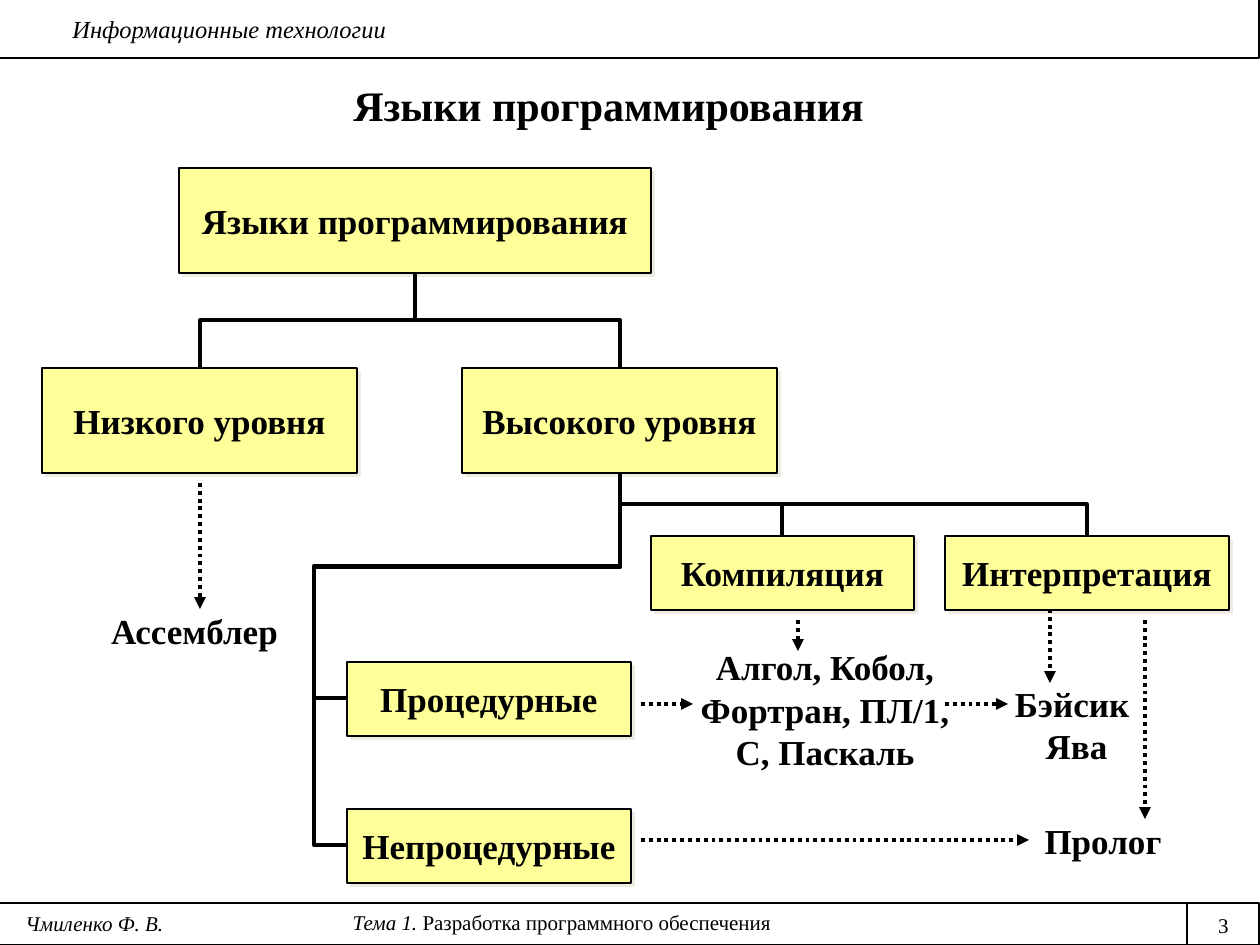
from lxml import etree
from pptx import Presentation
from pptx.dml.color import RGBColor
from pptx.enum.dml import MSO_LINE
from pptx.enum.shapes import MSO_CONNECTOR, MSO_SHAPE
from pptx.enum.text import MSO_ANCHOR, PP_ALIGN
from pptx.oxml.ns import qn
from pptx.util import Pt

BLACK = RGBColor(0x00, 0x00, 0x00)
WHITE = RGBColor(0xFF, 0xFF, 0xFF)
YELLOW = RGBColor(0xFF, 0xFF, 0x99)
SHADOW = RGBColor(0xEE, 0xEC, 0xE1)
RECT = MSO_SHAPE.RECTANGLE
STRAIGHT, ELBOW = MSO_CONNECTOR.STRAIGHT, MSO_CONNECTOR.ELBOW
DOTTED = MSO_LINE.ROUND_DOT
LEFT, CENTER = PP_ALIGN.LEFT, PP_ALIGN.CENTER
TOP, MIDDLE = MSO_ANCHOR.TOP, MSO_ANCHOR.MIDDLE
FONT = "Times New Roman"
PX = 914400 / 126

HEADER = {"size": Pt(14), "italic": True}
FOOTER = {"size": Pt(12)}
FOOTER_ITALIC = {"size": Pt(12), "italic": True}
TITLE = {"size": Pt(24), "bold": True}
LABEL = {"size": Pt(20), "bold": True}

BANDS = [(-1, 903, 1260, 42), (-1, -1, 1260, 59)]
PAGE_DIVIDER = (1187, 903, 1187, 945)

FRAME_TEXTS = [
    ((60, 8, 1187, 42), LEFT, TOP, [[("Информационные технологии", HEADER)]]),
    ((0, 903, 1124, 38), CENTER, TOP,
     [[("Тема 1. ", FOOTER_ITALIC), ("Разработка программного обеспечения", FOOTER)]]),
    ((1187, 906, 73, 38), CENTER, TOP, [[("3", FOOTER)]]),
    ((0, 904, 189, 38), CENTER, TOP, [[("Чмиленко Ф. В.", FOOTER_ITALIC)]]),
    ((31, 73, 1155, 63), CENTER, MIDDLE, [[("Языки программирования", TITLE)]]),
]

BOXES = [
    ("Языки программирования", (179, 168, 472, 105)),
    ("Низкого уровня", (42, 368, 315, 105)),
    ("Высокого уровня", (462, 368, 315, 105)),
    ("Компиляция", (651, 536, 263, 74)),
    ("Интерпретация", (945, 536, 284, 74)),
    ("Процедурные", (347, 662, 284, 74)),
    ("Непроцедурные", (347, 809, 284, 74)),
]

LANGUAGES = [
    ((63, 599, 263, 63), ["Ассемблер"]),
    ((683, 641, 284, 136), ["Алгол, Кобол,\vФортран, ПЛ/1,\vС, Паскаль"]),
    ((945, 672, 263, 105), ["Бэйсик ", "Ява"]),
    ((998, 809, 210, 63), ["Пролог"]),
]

BRANCHES = [
    ((415, 273), (200, 368), [0.5]),
    ((415, 273), (620, 368), [0.5]),
    ((620, 473), (782, 536), [0.5]),
    ((620, 473), (1087, 536), [0.5]),
    ((620, 473), (347, 698), [0.42, 1.12]),
    ((620, 473), (347, 845), [0.25, 1.12]),
]

ARROWS = [
    (200, 483, 200, 609), (641, 840, 1029, 840), (1145, 620, 1145, 819),
    (1050, 609, 1050, 683), (798, 620, 798, 651), (641, 704, 693, 704),
    (945, 704, 1008, 704),
]


def emu(*values):
    return [round(v * PX) for v in values]


def write(sp, paragraphs, align, anchor):
    tf = sp.text_frame
    tf.word_wrap = True
    tf.vertical_anchor = anchor
    for i, runs in enumerate(paragraphs):
        p = tf.add_paragraph() if i else tf.paragraphs[0]
        p.alignment = align
        for text, fmt in runs:
            for n, part in enumerate(text.split("\v")):
                if n:
                    p.add_line_break()
                r = p.add_run()
                r.text = part
                r.font.color.rgb = BLACK
                for key, value in {"name": FONT, **fmt}.items():
                    setattr(r.font, key, value)


def add_rect(at, fill, width):
    sp = s.shapes.add_shape(RECT, *emu(*at))
    sp.shadow.inherit = False
    sp.fill.solid()
    sp.fill.fore_color.rgb = fill
    sp.line.color.rgb = BLACK
    sp.line.width = Pt(width)
    return sp


def add_shadow(sp):
    effects = sp._element.spPr.find(qn("a:effectLst"))
    shadow = etree.SubElement(effects, qn("a:outerShdw"), dist=str(Pt(2.8)),
                              dir="2700000", algn="ctr", rotWithShape="0")
    etree.SubElement(shadow, qn("a:srgbClr"), val=str(SHADOW))


def add_line(kind, ends, width):
    c = s.shapes.add_connector(kind, *emu(*ends))
    c.line.color.rgb = BLACK
    c.line.width = Pt(width)
    etree.SubElement(c._element.spPr, qn("a:effectLst"))
    return c


def add_branch(start, end, adjusts):
    (x1, y1), (x2, y2) = start, end
    cx, cy = (x1 + x2) / 2, (y1 + y2) / 2
    w, h = abs(y2 - y1), abs(x2 - x1)
    c = add_line(ELBOW, (cx - w / 2, cy - h / 2, cx + w / 2, cy + h / 2), 2.25)
    xfrm = c._element.spPr.find(qn("a:xfrm"))
    xfrm.set("rot", "5400000" if x2 < x1 else "16200000")
    if x2 > x1:
        xfrm.set("flipH", "1")
    geom = c._element.spPr.find(qn("a:prstGeom"))
    geom.set("prst", f"bentConnector{len(adjusts) + 2}")
    guides = geom.find(qn("a:avLst"))
    for i, value in enumerate(adjusts, 1):
        etree.SubElement(guides, qn("a:gd"), name=f"adj{i}",
                         fmla=f"val {round(value * 100000)}")


def add_arrow(ends):
    c = add_line(STRAIGHT, ends, 2.25)
    c.line.dash_style = DOTTED
    ln = c._element.spPr.find(qn("a:ln"))
    etree.SubElement(ln, qn("a:tailEnd"), type="triangle")


prs = Presentation()
prs.slide_width, prs.slide_height = emu(1260, 945)
s = prs.slides.add_slide(prs.slide_layouts[6])

for band in BANDS:
    add_rect(band, WHITE, 0.75)
add_line(STRAIGHT, PAGE_DIVIDER, 0.75)

language_texts = [(at, CENTER, MIDDLE, [[(line, LABEL)] for line in lines])
                  for at, lines in LANGUAGES]
for at, align, anchor, paragraphs in FRAME_TEXTS + language_texts:
    write(s.shapes.add_textbox(*emu(*at)), paragraphs, align, anchor)

for text, at in BOXES:
    box = add_rect(at, YELLOW, 1)
    add_shadow(box)
    write(box, [[(text, LABEL)]], CENTER, MIDDLE)

for branch in BRANCHES:
    add_branch(*branch)
for ends in ARROWS:
    add_arrow(ends)

prs.save("out.pptx")
